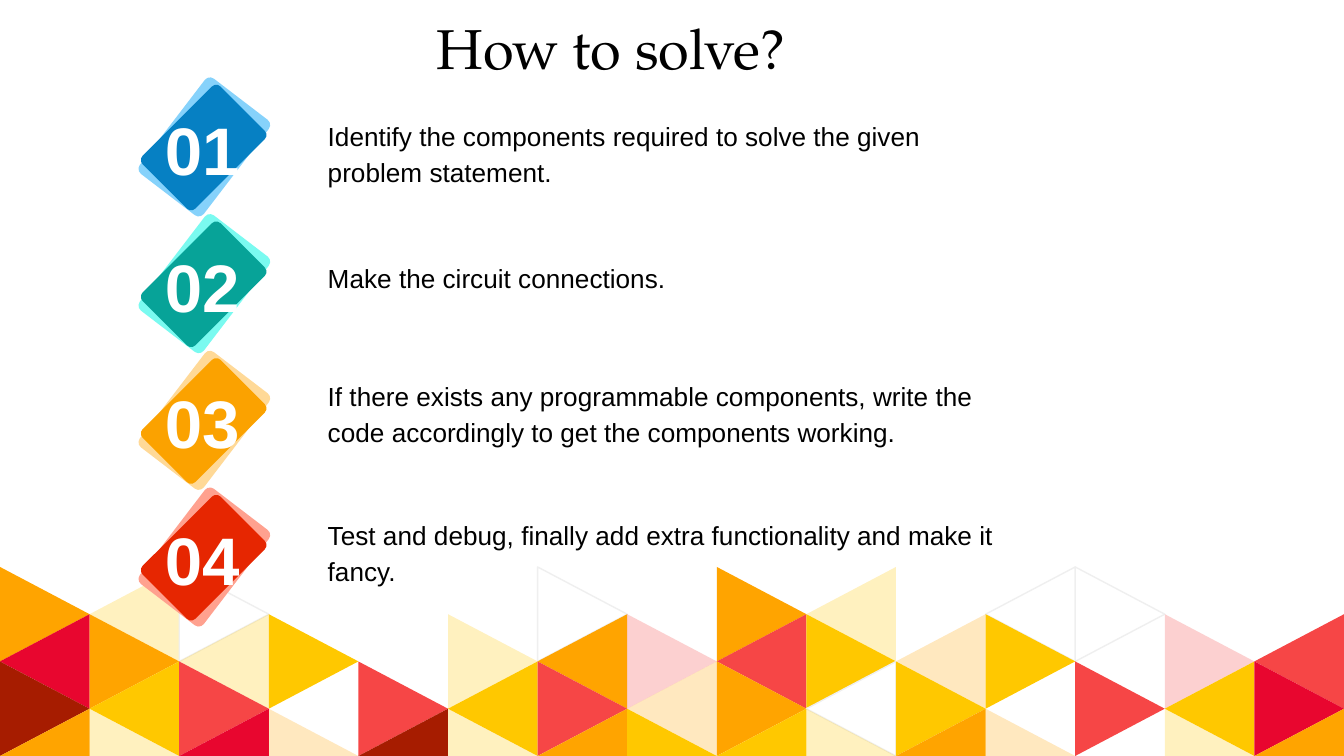
from lxml.etree import SubElement
from pptx import Presentation
from pptx.dml.color import RGBColor as RGB
from pptx.enum.shapes import MSO_SHAPE as SHAPE
from pptx.enum.text import PP_ALIGN as ALIGN
from pptx.oxml.ns import qn
from pptx.util import Inches, Pt

COLORS = {
    "O": "FFA400", "Y": "FFC800", "R": "F64646", "C": "E8062F", "B": "A61C00",
    "W": "FFFFFF", "edge": "EFEFEF", "white": "FFFFFF", "black": "000000",
    "blue": "0680C3", "blue_pale": "86D2FB",
    "teal": "07A398", "teal_pale": "7AFAF0",
    "amber": "FBA200", "amber_pale": "FFD997",
    "red": "E62601", "red_pale": "FFA18F",
}
W = Inches(10)
H = W * 9 // 16
COLS, ROWS = 40, 45
MOSAIC = [
    "OyW...W.Oy.WW..",
    "COyY.yOrRYoY.rR",
    "BYR.RYRoOWY.RYC",
    "OyCoByOYYyOo.yO",
]
STEPS = [
    ("01", "blue", "Identify the components required to solve the given problem statement.",
     (0.11, 20.76, 0.9)),
    ("02", "teal", "Make the circuit connections.",
     (0.15, 16.32, 0.72)),
    ("03", "amber", "If there exists any programmable components, write the code accordingly "
     "to get the components working.", (0.01, 21.64, 0.86)),
    ("04", "red", "Test and debug, finally add extra functionality and make it fancy.",
     (0.03, 21.64, 0.83)),
]


def color(name):
    return RGB.from_string(COLORS[name])


def inside(box, x, y, w, h):
    left, top, width, height = box
    return [round(v) for v in (left + x * width, top + y * height, w * width, h * height)]


def paint(sp, name):
    sp.shadow.inherit = False
    sp.fill.solid()
    sp.fill.fore_color.rgb = color(name)
    sp.line.fill.background()


def add_text(s, box, text, size, font="Arial", ink="black", bold=False,
             align=ALIGN.LEFT, spacing=1.0, inset=(0.1, 0.1)):
    tf = s.shapes.add_textbox(*box).text_frame
    tf.word_wrap = True
    tf.margin_left = tf.margin_right = Inches(inset[0])
    tf.margin_top = tf.margin_bottom = Inches(inset[1])
    p = tf.paragraphs[0]
    p.alignment, p.line_spacing = align, spacing
    r = p.add_run()
    r.text = text
    r.font.name, r.font.size, r.font.bold = font, Pt(size), bold
    r.font.color.rgb = color(ink)


def triangle(s, box, col, row, code):
    left, top, width, height = box
    base, apex = (col, col + 1) if (col + row) % 2 == 0 else (col + 1, col)
    end = (base, row + 2) if row + 2 <= len(MOSAIC) else (base, row + 1)
    if row + 2 > len(MOSAIC):
        points = [(base, row), (apex, row + 1), end]
    else:
        points = [(base, row), (apex, row + 1), end]
    points = [(round(left + x * width / len(MOSAIC[0])), round(top + y * height / len(MOSAIC)))
              for x, y in points]
    fb = s.shapes.build_freeform(*points[0])
    fb.add_line_segments(points[1:], close=True)
    sp = fb.convert_to_shape()
    paint(sp, code.upper())
    if code.islower():
        clr = sp.fill._xPr.find(f".//{qn('a:srgbClr')}")
        SubElement(clr, qn("a:alpha")).set("val", "25000")
    if code == "W":
        sp.line.color.rgb = color("edge")
        sp.line.width = Pt(0.75)


def mosaic(s, box):
    for row, codes in enumerate(MOSAIC):
        for col, code in enumerate(codes):
            if code != ".":
                triangle(s, box, col, row, code)


def badge(s, box, number, hue):
    for name, angle, part in ((f"{hue}_pale", 307.4, (0.09, 0.16, 0.85, 0.67)),
                              (hue, 315, (0.12, 0.19, 0.78, 0.62))):
        sp = s.shapes.add_shape(SHAPE.ROUNDED_RECTANGLE, *inside(box, *part))
        sp.adjustments[0] = 0.08
        sp.rotation = angle
        paint(sp, name)
    add_text(s, inside(box, 0, 0.12, 1, 0.54), number, 36, ink="white", bold=True,
             align=ALIGN.CENTER, inset=(0.12, 0.05))


def step(s, box, number, hue, text, place):
    top, cols, height = place
    badge(s, inside(box, 3.92 / COLS, 0, 4.2 / COLS, 0.88), number, hue)
    add_text(s, inside(box, 9.36 / COLS, top, cols / COLS, height), text, 14, spacing=1.15)


def steps(s, box):
    share = 1 / len(STEPS)
    for i, item in enumerate(STEPS):
        step(s, inside(box, 0, i * share, 1, share), *item)


def main():
    prs = Presentation()
    prs.slide_width, prs.slide_height = W, H
    s = prs.slides.add_slide(prs.slide_layouts[6])
    page = (0, 0, W, H)
    mosaic(s, inside(page, 0, 0.75, 1, 0.25))
    steps(s, inside(page, 0, 5.2 / ROWS, 1, 32.55 / ROWS))
    add_text(s, inside(page, 12.6 / COLS, 0, 12.64 / COLS, 5.84 / ROWS), "How to solve?", 30,
             font="TeX Gyre Pagella")
    prs.save("out.pptx")


if __name__ == "__main__":
    main()
